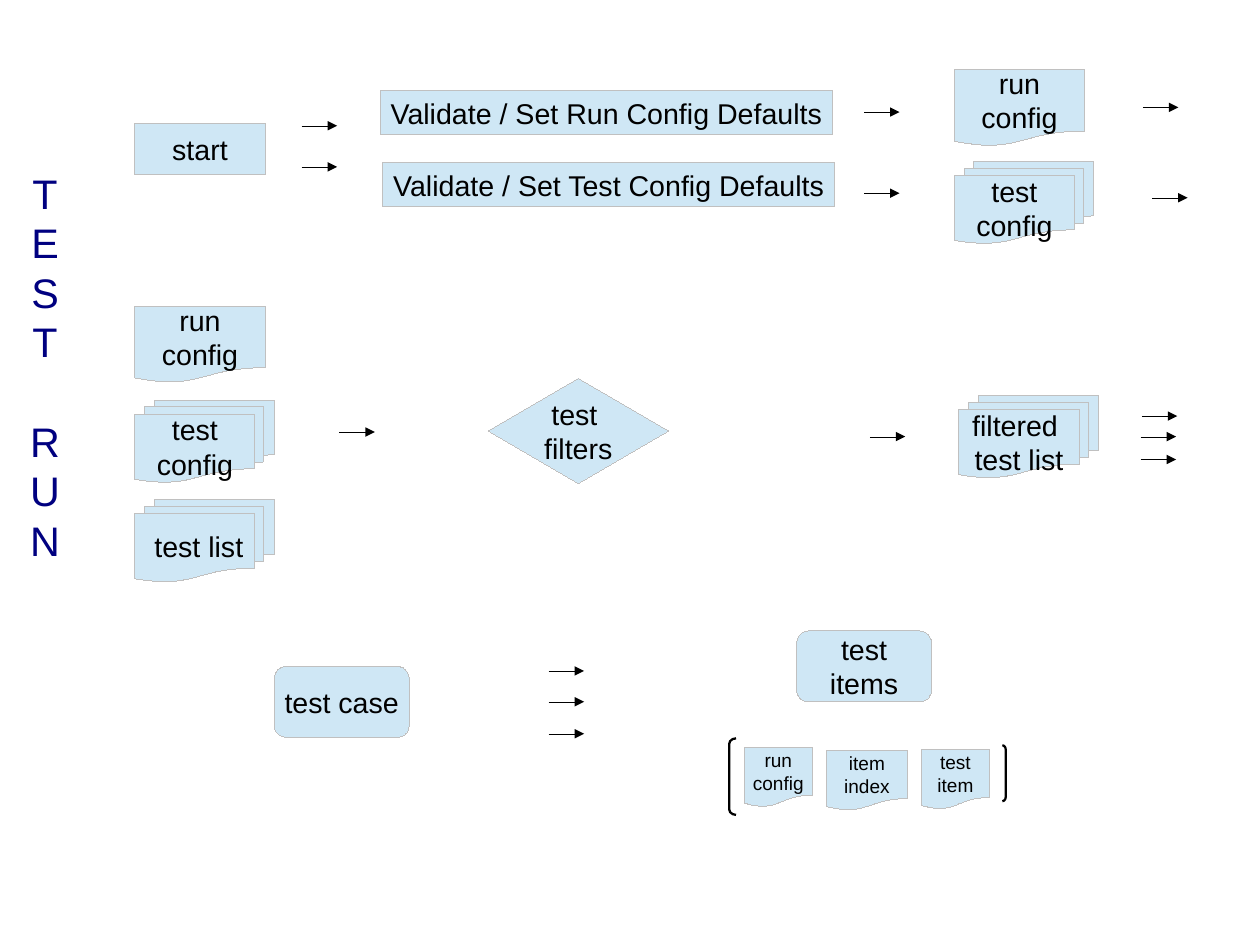
from pptx import Presentation
from pptx import util as u
from pptx.dml.color import RGBColor
from pptx.enum import shapes, text
from pptx.oxml.ns import qn
from lxml import etree

# Content: kind of box, column, top in inches, lines of text
SLIDE_CM = (28, 21)
TITLE = ["TE", "ST", "RUN"]
FLOW = [
    ("step", "input", 1.08, ["start"]),
    ("wide step", "run check", 0.79, ["Validate / Set Run Config Defaults"]),
    ("wide step", "test check", 1.42, ["Validate / Set Test Config Defaults"]),
    ("document", "output", 0.61, ["run", "config"]),
    ("documents", "output", 1.41, [" test ", "config"]),
    ("document", "input", 2.68, ["run", "config"]),
    ("documents", "input", 3.5, [" test ", "config"]),
    ("documents", "input", 4.37, [" test list"]),
    ("filter", "filter", 3.31, ["test ", "filters"]),
    ("documents", "filtered", 3.46, ["filtered ", "test list"]),
    ("case", "case", 5.83, ["test case"]),
    ("case", "items", 5.52, ["test", "items"]),
    ("small document", "item run", 6.54, ["run", "config"]),
    ("index document", "item index", 6.57, ["item", "index"]),
    ("small document", "item test", 6.56, ["test", "item"]),
]
# Arrows: left end and the heights at which they repeat
ARROWS = [
    (2.64, [1.1, 1.46]), (7.56, [0.98, 1.69]), (10, [0.94]), (10.08, [1.73]),
    (2.97, [3.78]), (7.61, [3.82]), (9.99, [3.64]), (9.98, [3.82, 4.02]),
    (4.8, [5.87, 6.14, 6.42]),
]
ARROW_LENGTH = 0.31
# Brackets: preset, left, top, width, height, corner
PRESET = shapes.MSO_SHAPE
BRACKETS = [
    (PRESET.LEFT_BRACKET, 6.38, 6.46, 0.06, 0.67, 0.83),
    (PRESET.RIGHT_BRACKET, 8.77, 6.52, 0.03, 0.49, 1.33),
]

# Grid columns and box kinds (preset, width, height, type size name)
COLUMNS = {
    "input": 1.18, "run check": 3.33, "test check": 3.35, "filter": 4.27,
    "output": 8.35, "filtered": 8.39, "case": 2.4, "items": 6.97,
    "item run": 6.51, "item index": 7.23, "item test": 8.06,
}
KINDS = {
    "step": (PRESET.FLOWCHART_PROCESS, 1.14, 0.45, "body"),
    "wide step": (PRESET.FLOWCHART_PROCESS, 3.95, 0.39, "body"),
    "document": (PRESET.FLOWCHART_DOCUMENT, 1.14, 0.67, "body"),
    "documents": (PRESET.FLOWCHART_MULTIDOCUMENT, 1.22, 0.72, "body"),
    "filter": (PRESET.FLOWCHART_DECISION, 1.58, 0.92, "body"),
    "case": (PRESET.ROUNDED_RECTANGLE, 1.18, 0.62, "body"),
    "small document": (PRESET.FLOWCHART_DOCUMENT, 0.6, 0.52, "small"),
    "index document": (PRESET.FLOWCHART_DOCUMENT, 0.71, 0.52, "small"),
}
THEME = {
    "font": "Arial", "title": 26, "body": 18, "small": 12,
    "title pitch": 31.2, "hairline": 0, "bracket line": 1.42,
    "fill": RGBColor.from_string("CFE7F5"),
    "edge": RGBColor.from_string("C0C0C0"),
    "ink": RGBColor.from_string("000000"),
    "navy": RGBColor.from_string("000080"),
}


def apply(target, formats):
    for name, value in formats.items():
        setattr(target, name, value)


def write(shape, lines, size, color, frame_format):
    frame = shape.text_frame
    apply(frame, frame_format)
    for number, line in enumerate(lines):
        para = frame.paragraphs[0] if number == 0 else frame.add_paragraph()
        para.alignment = text.PP_ALIGN.CENTER
        span = para.add_run()
        span.text = line
        apply(span.font, {"name": THEME["font"], "size": u.Pt(THEME[size])})
        span.font.color.rgb = THEME[color]
    return frame.paragraphs


def outline(shape, color, width):
    shape.line.color.rgb = THEME[color]
    line = shape.element.spPr.find(qn("a:ln"))
    # A zero width has to be written out to override the style
    line.set("w", str(u.Pt(THEME[width])))
    return line


def add_title(page):
    title = page.shapes.title
    place = {"left": 0.16, "top": 1.42, "width": 0.47, "height": 3.33}
    apply(title, {side: u.Inches(length) for side, length in place.items()})
    paras = write(title, TITLE, "title", "navy", {
        "word_wrap": True, "auto_size": text.MSO_AUTO_SIZE.NONE,
        "vertical_anchor": text.MSO_ANCHOR.TOP})
    # The narrow box stacks the letters; one empty pitch parts the words
    for para in paras:
        para.line_spacing = u.Pt(THEME["title pitch"])
    paras[-1].space_before = u.Pt(THEME["title pitch"])


def add_box(page, kind, column, top, lines):
    preset, width, height, size = KINDS[kind]
    box = page.shapes.add_shape(
        preset, *map(u.Inches, (COLUMNS[column], top, width, height)))
    box.shadow.inherit = False
    box.fill.solid()
    box.fill.fore_color.rgb = THEME["fill"]
    outline(box, "edge", "hairline")
    write(box, lines, size, "ink", {
        "word_wrap": False, "vertical_anchor": text.MSO_ANCHOR.MIDDLE})


def add_arrow(page, left, height):
    arrow = page.shapes.add_connector(
        shapes.MSO_CONNECTOR.STRAIGHT,
        *map(u.Inches, (left, height, left + ARROW_LENGTH, height)))
    line = outline(arrow, "ink", "hairline")
    etree.SubElement(line, qn("a:tailEnd"), type="triangle")
    etree.SubElement(arrow.element.spPr, qn("a:effectLst"))


def add_bracket(page, preset, left, top, width, height, corner):
    bracket = page.shapes.add_shape(
        preset, *map(u.Inches, (left, top, width, height)))
    bracket.adjustments[0] = corner
    bracket.shadow.inherit = False
    bracket.fill.background()
    outline(bracket, "ink", "bracket line")


def main():
    deck = Presentation()
    deck.slide_width, deck.slide_height = map(u.Cm, SLIDE_CM)
    # The template's 4:3 screen label does not fit this size
    deck.element.find(qn("p:sldSz")).attrib.pop("type", None)
    page = deck.slides.add_slide(deck.slide_layouts.get_by_name("Title Only"))
    add_title(page)
    for entry in FLOW:
        add_box(page, *entry)
    for left, heights in ARROWS:
        for height in heights:
            add_arrow(page, left, height)
    for bracket in BRACKETS:
        add_bracket(page, *bracket)
    deck.save("out.pptx")


if __name__ == "__main__":
    main()
